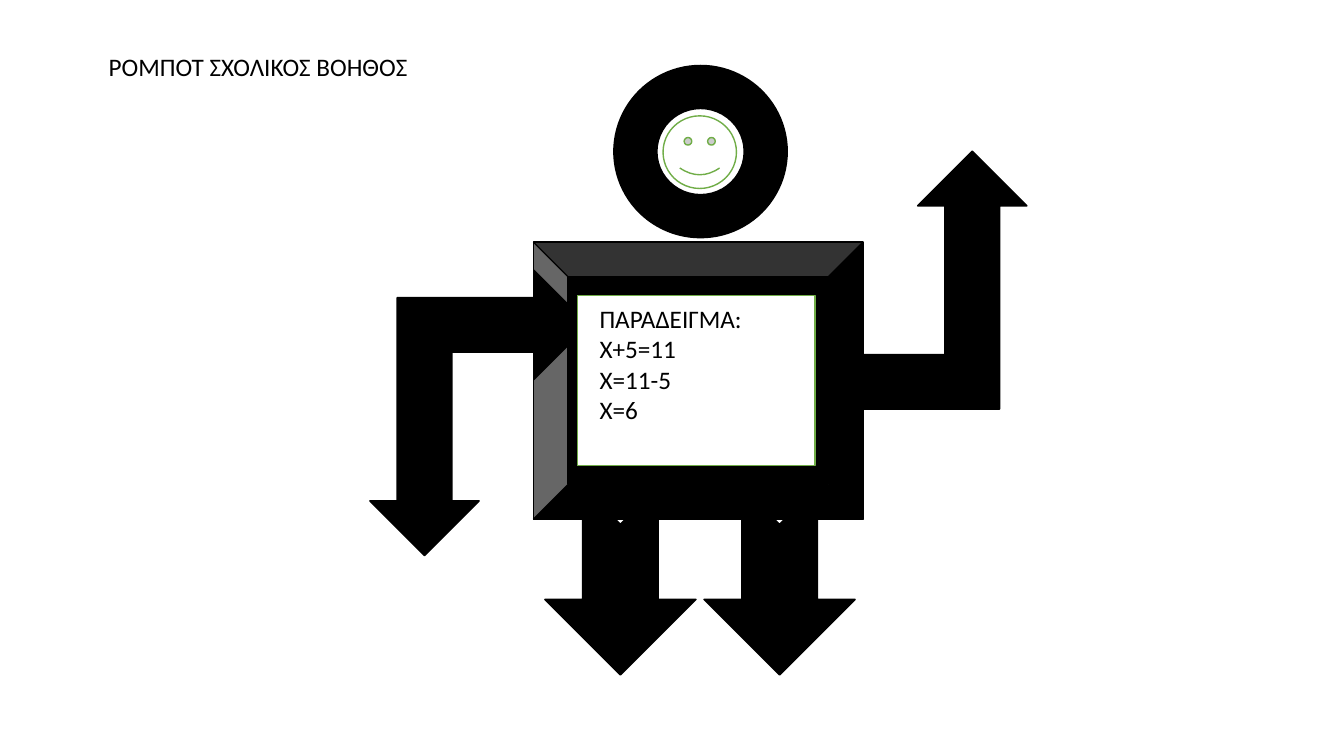
import dataclasses

import pptx
import pptx.dml.color
import pptx.enum.shapes
import pptx.enum.text
import pptx.util

Cm = pptx.util.Cm
Kind = pptx.enum.shapes.MSO_SHAPE

COLOURS = {"black": "000000", "white": "FFFFFF", "green": "70AD47"}
FONT_NAME = "Calibri"
FONT_SIZE = 18
LEG_LEFT, LEG_STEP = 13.26, 4.01


@dataclasses.dataclass(frozen=True)
class Part:
    """A robot part; lengths in centimetres, rotation in degrees."""
    kind: Kind
    left: float
    top: float
    width: float
    height: float
    rotation: float = 0
    fill: str = "black"
    line: str = "black"


@dataclasses.dataclass(frozen=True)
class Label:
    """A text box; lengths in centimetres."""
    lines: tuple[str, ...]
    left: float
    top: float
    width: float
    height: float
    wrap: bool = True


BODY = Part(Kind.BEVEL, 13.44, 6.1, 8.31, 6.99)
HEAD = Part(Kind.DONUT, 15.47, 1.65, 4.37, 4.34)
FACE = Part(Kind.SMILEY_FACE, 16.71, 2.92, 1.85, 1.83, fill="white", line="green")
RAISED_ARM = Part(Kind.LEFT_UP_ARROW, 20.37, 3.81, 5.51, 7.19)
LOWERED_ARM = dataclasses.replace(RAISED_ARM, left=9.32, top=6.81, rotation=180)
LEGS = [
    Part(Kind.NOTCHED_RIGHT_ARROW, LEG_LEFT + index * LEG_STEP, 12.73, 4.75, 3.81, rotation=90)
    for index in range(2)
]
SCREEN = Part(Kind.RECTANGLE, 14.55, 7.44, 5.99, 4.29, fill="white", line="green")
ROBOT = [BODY, HEAD, FACE, RAISED_ARM, *LEGS, LOWERED_ARM, SCREEN]

LABELS = [
    Label(("ΠΑΡΑΔΕΙΓΜΑ:", "Χ+5=11", "Χ=11-5", "Χ=6"), 14.86, 7.52, 5.21, 3.33),
    Label(("ΡΟΜΠΟΤ ΣΧΟΛΙΚΟΣ ΒΟΗΘΟΣ",), 2.49, 1.17, 8.1, 1.02, wrap=False),
]


def colour(name: str) -> pptx.dml.color.RGBColor:
    return pptx.dml.color.RGBColor.from_string(COLOURS[name])


def draw_part(slide: pptx.slide.Slide, part: Part) -> None:
    shape = slide.shapes.add_shape(
        part.kind, Cm(part.left), Cm(part.top), Cm(part.width), Cm(part.height))
    shape.rotation = part.rotation
    shape.shadow.inherit = False
    shape.fill.solid()
    shape.fill.fore_color.rgb = colour(part.fill)
    shape.line.color.rgb = colour(part.line)
    shape.line.width = pptx.util.Pt(1)


def draw_label(slide: pptx.slide.Slide, label: Label) -> None:
    box = slide.shapes.add_textbox(
        Cm(label.left), Cm(label.top), Cm(label.width), Cm(label.height))
    frame = box.text_frame
    frame.word_wrap = label.wrap
    frame.auto_size = pptx.enum.text.MSO_AUTO_SIZE.SHAPE_TO_FIT_TEXT
    frame.text = "\n".join(label.lines)
    for paragraph in frame.paragraphs:
        paragraph.font.name = FONT_NAME
        paragraph.font.size = pptx.util.Pt(FONT_SIZE)
        paragraph.font.color.rgb = colour("black")


def main() -> None:
    presentation = pptx.Presentation()
    presentation.slide_width = Cm(33.87)
    presentation.slide_height = Cm(19.05)
    slide = presentation.slides.add_slide(presentation.slide_layouts[6])
    for part in ROBOT:
        draw_part(slide, part)
    for label in LABELS:
        draw_label(slide, label)
    presentation.save("out.pptx")


if __name__ == "__main__":
    main()
